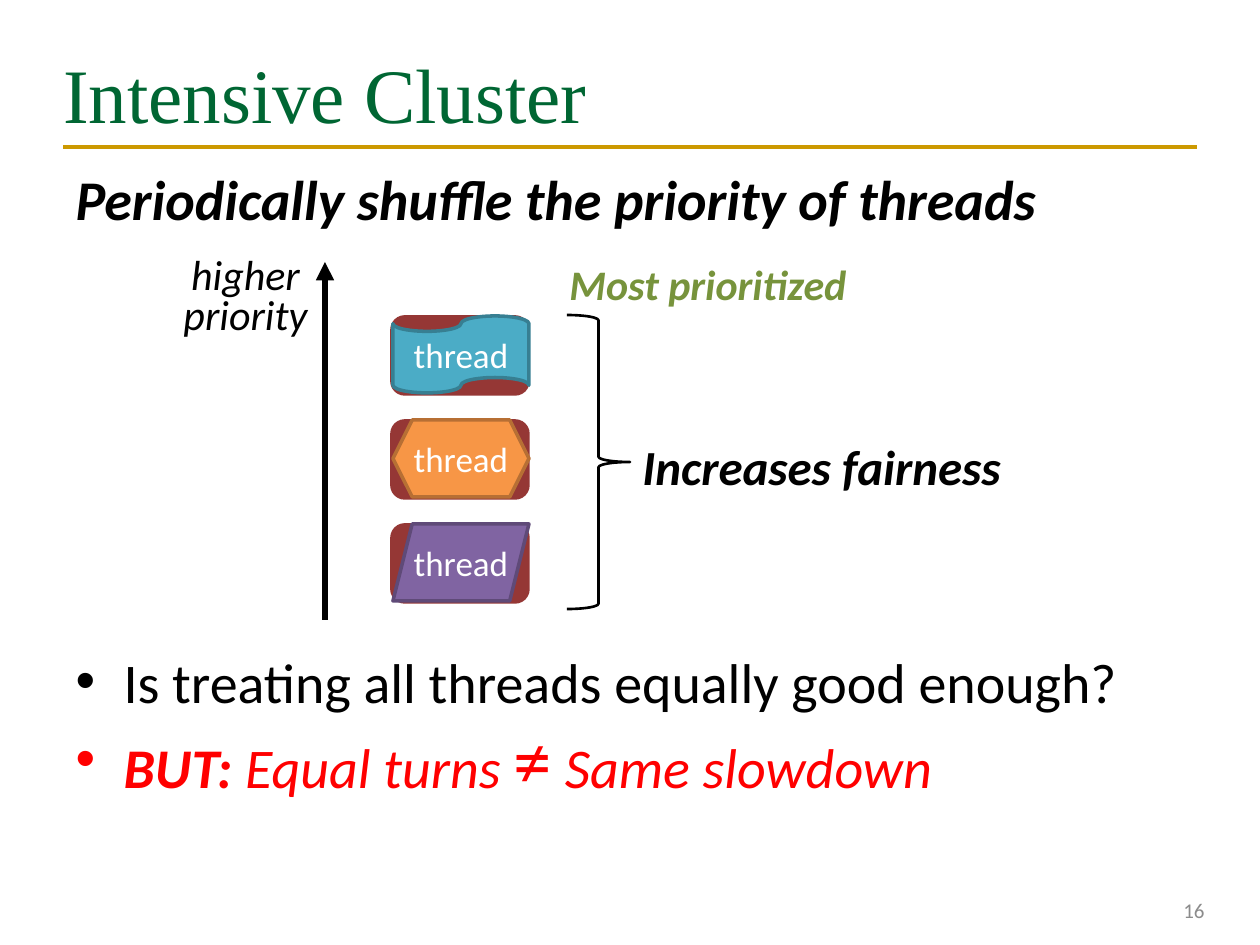
from lxml import etree
from pptx import Presentation
from pptx.dml.color import RGBColor
from pptx.enum.shapes import MSO_CONNECTOR, MSO_SHAPE
from pptx.enum.text import MSO_ANCHOR, MSO_AUTO_SIZE, PP_ALIGN
from pptx.oxml.ns import qn
from pptx.util import Emu, Pt

PX_PER_INCH = 126
BLACK = RGBColor(0x00, 0x00, 0x00)
WHITE = RGBColor(0xFF, 0xFF, 0xFF)
RED = RGBColor(0xFF, 0x00, 0x00)
GREEN = RGBColor(0x00, 0x66, 0x33)
GOLD = RGBColor(0xCC, 0x99, 0x00)
OLIVE = RGBColor(0x77, 0x93, 0x3C)
GREY = RGBColor(0x8C, 0x8C, 0x8C)
MAROON = RGBColor(0x95, 0x37, 0x35)
TEAL, DARK_TEAL = RGBColor(0x4B, 0xAC, 0xC6), RGBColor(0x37, 0x7F, 0x92)
ORANGE, DARK_ORANGE = RGBColor(0xF7, 0x96, 0x46), RGBColor(0xB7, 0x6F, 0x34)
PURPLE, DARK_PURPLE = RGBColor(0x80, 0x64, 0xA2), RGBColor(0x5F, 0x4A, 0x78)


def px(n):
    return Emu(round(n * 914400 / PX_PER_INCH))


class SlideBuilder:
    font = "Calibri"
    title_font = "Times New Roman"

    def __init__(self, slide):
        self.slide = slide
        self.shapes = slide.shapes

    def run(self, p, text, size, color=BLACK, bold=False, italic=False, font=None):
        r = p.add_run()
        r.text = text
        r.font.name = font or self.font
        r.font.size = Pt(size)
        r.font.bold, r.font.italic = bold, italic
        r.font.color.rgb = color

    def place(self, sp, x, y, w, h):
        sp.left, sp.top, sp.width, sp.height = px(x), px(y), px(w), px(h)

    def frame(self, sp, anchor=MSO_ANCHOR.TOP, side_inset=None):
        tf = sp.text_frame
        tf.word_wrap = True
        tf.auto_size = MSO_AUTO_SIZE.NONE
        tf.vertical_anchor = anchor
        if side_inset is not None:
            tf.margin_left = tf.margin_right = px(side_inset)
        return tf

    def title(self, text, x, y, w, h):
        sp = self.shapes.title
        self.place(sp, x, y, w, h)
        p = self.frame(sp, MSO_ANCHOR.MIDDLE, 0).paragraphs[0]
        p.alignment = PP_ALIGN.LEFT
        self.run(p, text, 44, GREEN, font=self.title_font)

    def body(self, paragraphs, x, y, w, h):
        """Each paragraph is (bulleted, space before, line spacing, runs)."""
        sp = self.slide.placeholders[1]
        self.place(sp, x, y, w, h)
        tf = self.frame(sp)
        for i, (bulleted, before, spacing, runs) in enumerate(paragraphs):
            p = tf.add_paragraph() if i else tf.paragraphs[0]
            pPr = p._p.get_or_add_pPr()
            pPr.set("marL", str(px(48)))
            pPr.set("indent", str(px(-48)))
            if bulleted:
                etree.SubElement(pPr, qn("a:buChar")).set("char", "•")
            else:
                etree.SubElement(pPr, qn("a:buNone"))
            p.space_before = Pt(before)
            p.line_spacing = spacing
            for text, size, color, bold, italic in runs:
                self.run(p, text, size, color, bold, italic)

    def text(self, lines, x, y, w, h, size, color=BLACK, bold=False, italic=False,
             align=PP_ALIGN.LEFT, anchor=MSO_ANCHOR.TOP, spacing=1.0, side_inset=None):
        sp = self.shapes.add_textbox(px(x), px(y), px(w), px(h))
        tf = self.frame(sp, anchor, side_inset)
        for i, line in enumerate(lines):
            p = tf.add_paragraph() if i else tf.paragraphs[0]
            p.alignment = align
            p.line_spacing = spacing
            self.run(p, line, size, color, bold, italic)

    def shape(self, kind, x, y, w, h, fill, outline, width=2, label=None):
        sp = self.shapes.add_shape(kind, px(x), px(y), px(w), px(h))
        sp.shadow.inherit = False
        if fill is None:
            sp.fill.background()
        else:
            sp.fill.solid()
            sp.fill.fore_color.rgb = fill
        sp.line.color.rgb = outline
        sp.line.width = Pt(width)
        if label:
            p = self.frame(sp, MSO_ANCHOR.MIDDLE, 0).paragraphs[0]
            p.alignment = PP_ALIGN.CENTER
            self.run(p, label, 20, WHITE)

    def line(self, x1, y1, x2, y2, color, width, arrow=False):
        cx = self.shapes.add_connector(MSO_CONNECTOR.STRAIGHT, px(x1), px(y1), px(x2), px(y2))
        cx.line.color.rgb = color
        cx.line.width = Pt(width)
        if arrow:
            ln = cx.line._get_or_add_ln()
            etree.SubElement(ln, qn("a:tailEnd")).set("type", "triangle")
        etree.SubElement(cx._element.spPr, qn("a:effectLst"))


def main():
    prs = Presentation()
    prs.slide_width, prs.slide_height = px(1260), px(945)
    b = SlideBuilder(prs.slides.add_slide(prs.slide_layouts[1]))

    b.line(63, 147, 1197, 147, GOLD, 2.25)
    b.title("Intensive Cluster", 63, 38, 1134, 110)
    b.body([
        (False, 0, 1.0, [("Periodically shuffle the priority of threads", 32, BLACK, True, True)]),
        (True, 245, 0.8, [("Is treating all threads equally good enough?", 32, BLACK, False, False)]),
        (True, 9, 0.8, [
            ("BUT: ", 32, RED, True, True),
            ("Equal turns ", 32, RED, False, True),
            ("≠", 44, RED, False, False),
            (" Same slowdown", 32, RED, False, True),
        ]),
    ], 63, 158, 1134, 693)
    b.text(["16"], 924, 885, 293, 50, 12, GREY, align=PP_ALIGN.RIGHT, anchor=MSO_ANCHOR.MIDDLE)

    threads = [
        (MSO_SHAPE.FLOWCHART_PUNCHED_TAPE, TEAL, DARK_TEAL),
        (MSO_SHAPE.HEXAGON, ORANGE, DARK_ORANGE),
        (MSO_SHAPE.PARALLELOGRAM, PURPLE, DARK_PURPLE),
    ]
    for i, (kind, fill, outline) in enumerate(threads):
        y = 317 + 104 * i
        b.shape(MSO_SHAPE.ROUNDED_RECTANGLE, 392, y, 136, 77, MAROON, MAROON)
        b.shape(kind, 393, y - 1, 136, 77, fill, outline, label="thread")

    b.line(325, 620, 325, 262, BLACK, 3.5, arrow=True)
    b.text(["higher", "priority"], 166, 252, 159, 95, 24, italic=True,
           align=PP_ALIGN.CENTER, spacing=0.8, side_inset=0)
    b.text(["Most prioritized"], 557, 252, 336, 63, 24, OLIVE, bold=True, italic=True)
    b.shape(MSO_SHAPE.RIGHT_BRACE, 567, 315, 63, 294, None, BLACK, 1.5)
    b.text(["Increases fairness"], 630, 430, 483, 72, 28, bold=True, italic=True)

    prs.save("out.pptx")


if __name__ == "__main__":
    main()
